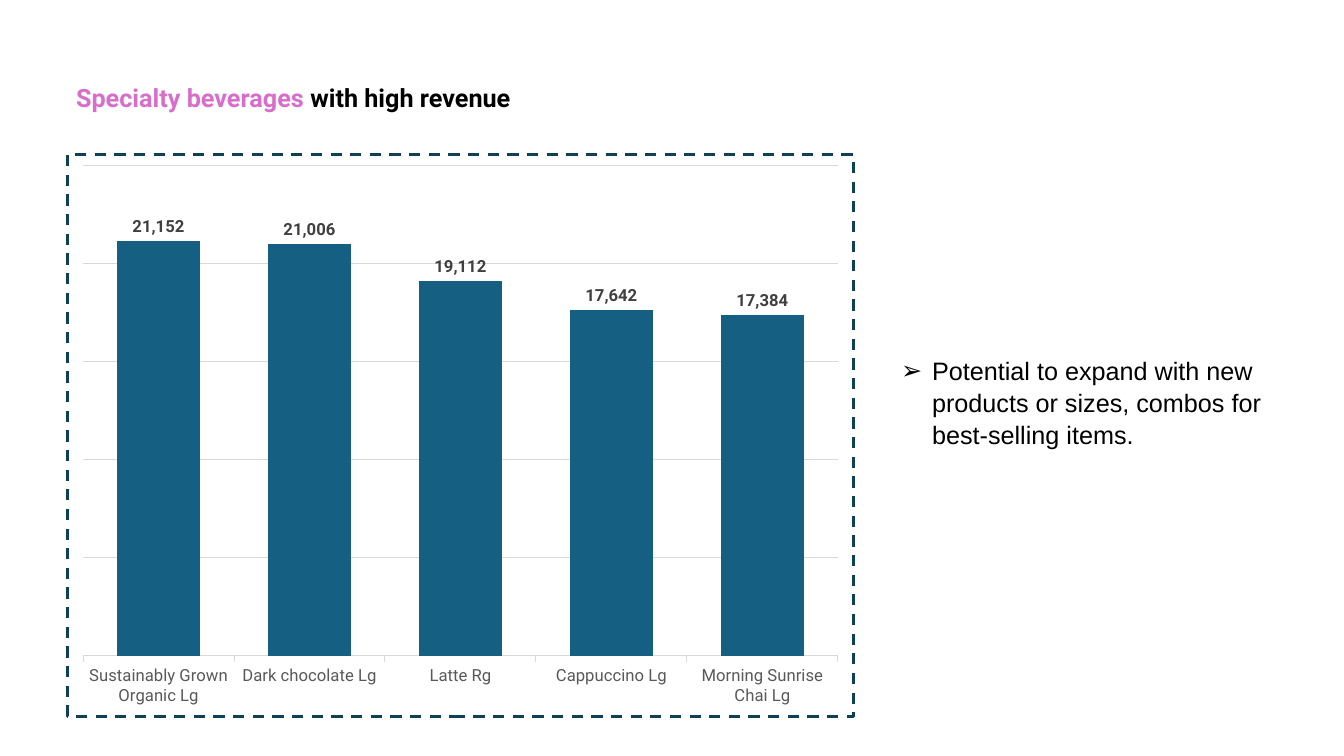
from lxml import etree
from pptx import Presentation
from pptx.chart.data import CategoryChartData
from pptx.dml.color import RGBColor
from pptx.enum.chart import XL_CHART_TYPE, XL_LABEL_POSITION, XL_TICK_MARK
from pptx.enum.text import MSO_ANCHOR, MSO_AUTO_SIZE, PP_ALIGN
from pptx.oxml import parse_xml
from pptx.oxml.ns import nsdecls, qn
from pptx.util import Emu, Pt

COLUMNS = XL_CHART_TYPE.COLUMN_CLUSTERED
OUTSIDE_END = XL_LABEL_POSITION.OUTSIDE_END
TICK_OUT = XL_TICK_MARK.OUTSIDE
TOP = MSO_ANCHOR.TOP
GROW = MSO_AUTO_SIZE.SHAPE_TO_FIT_TEXT
LEFT = PP_ALIGN.LEFT

EMU_PER_PX = 914400 / 100.8
REVENUE_FORMAT = r'_(* #,##0_);_(* \(#,##0\);_(* "-"??_);_('
REVENUE = {
    "Sustainably Grown Organic Lg": 21152,
    "Dark chocolate Lg": 21006,
    "Latte Rg": 19112,
    "Cappuccino Lg": 17642,
    "Morning Sunrise Chai Lg": 17384,
}


def px(length):
    return Emu(round(length * EMU_PER_PX))


def rgb(hex_color):
    return RGBColor.from_string(hex_color)


class RevenueSlide:
    heading_font = "Roboto"
    body_font = "Arial"
    black, pink, teal = "000000", "D86ECC", "156082"
    border, grid = "0E4056", "D9D9D9"
    label_gray, axis_gray = "404040", "595959"

    def __init__(self, presentation):
        self.slide = presentation.slides.add_slide(presentation.slide_layouts[1])

    def style(self, font, name, size, color, bold=False):
        font.name, font.size, font.bold = name, Pt(size), bold
        font.color.rgb = rgb(color)

    def place(self, placeholder, box):
        placeholder.left, placeholder.top, placeholder.width, placeholder.height = map(px, box)
        frame = placeholder.text_frame
        frame.word_wrap, frame.auto_size, frame.vertical_anchor = True, GROW, TOP
        paragraph = frame.paragraphs[0]
        paragraph.alignment, paragraph.space_before = LEFT, Pt(0)
        return paragraph

    def title(self, box, parts):
        heading = self.place(self.slide.shapes.title, box)
        for words, color in parts:
            run = heading.add_run()
            run.text = words
            self.style(run.font, self.heading_font, 18, color, bold=True)

    def bullet(self, box, words):
        advice = self.place(self.slide.placeholders[1], box)
        advice.text = words
        advice.line_spacing = 1.05
        self.style(advice.runs[0].font, self.body_font, 18, self.black)
        properties = advice._p.get_or_add_pPr()
        properties.set("marL", str(px(31)))
        properties.set("indent", str(-px(31)))
        etree.SubElement(properties, qn("a:buFont")).set("typeface", self.body_font)
        etree.SubElement(properties, qn("a:buChar")).set("char", "➢")

    def column_chart(self, box, revenue):
        data = CategoryChartData()
        data.categories = list(revenue)
        data.add_series("Series 1", list(revenue.values()))
        chart = self.slide.shapes.add_chart(COLUMNS, *map(px, box), data).chart
        chart.has_legend = chart.has_title = False
        self.style(chart.font, self.heading_font, 10, self.black)

        # Columns and their values
        plot = chart.plots[0]
        plot.gap_width, plot.overlap, plot.vary_by_categories = 83, -27, False
        columns = plot.series[0]
        columns.format.fill.solid()
        columns.format.fill.fore_color.rgb = rgb(self.teal)
        values = columns.data_labels
        values.show_value, values.position = True, OUTSIDE_END
        values.number_format, values.number_format_is_linked = REVENUE_FORMAT, False
        self.style(values.font, self.heading_font, 12, self.label_gray, bold=True)

        # Axes and gridlines
        beverages, amounts = chart.category_axis, chart.value_axis
        beverages.major_tick_mark = TICK_OUT
        self.style(beverages.tick_labels.font, self.heading_font, 12, self.axis_gray)
        amounts.visible = False
        amounts.minimum_scale, amounts.maximum_scale, amounts.major_unit = 0, 25000, 5000
        amounts.has_major_gridlines = True
        for line in (beverages.format.line, amounts.major_gridlines.format.line):
            line.color.rgb, line.width = rgb(self.grid), Pt(0.75)

        # Dashed frame around the chart
        frame = parse_xml(
            f'<c:spPr {nsdecls("c", "a")}><a:noFill/><a:ln w="{Pt(2)}">'
            f'<a:solidFill><a:srgbClr val="{self.border}"/></a:solidFill>'
            '<a:prstDash val="dash"/></a:ln></c:spPr>')
        chart._chartSpace.find(qn("c:chart")).addnext(frame)


def main():
    presentation = Presentation()
    presentation.slide_width, presentation.slide_height = px(1344), px(756)
    page = RevenueSlide(presentation)
    page.title((66, 77, 1112, 40), [("Specialty beverages ", page.pink),
                                    ("with high revenue", page.black)])
    page.column_chart((66, 153, 789, 565), REVENUE)
    page.bullet((891, 349, 440, 102),
                "Potential to expand with new products or sizes, combos for best-selling items.")
    presentation.save("out.pptx")


if __name__ == "__main__":
    main()
